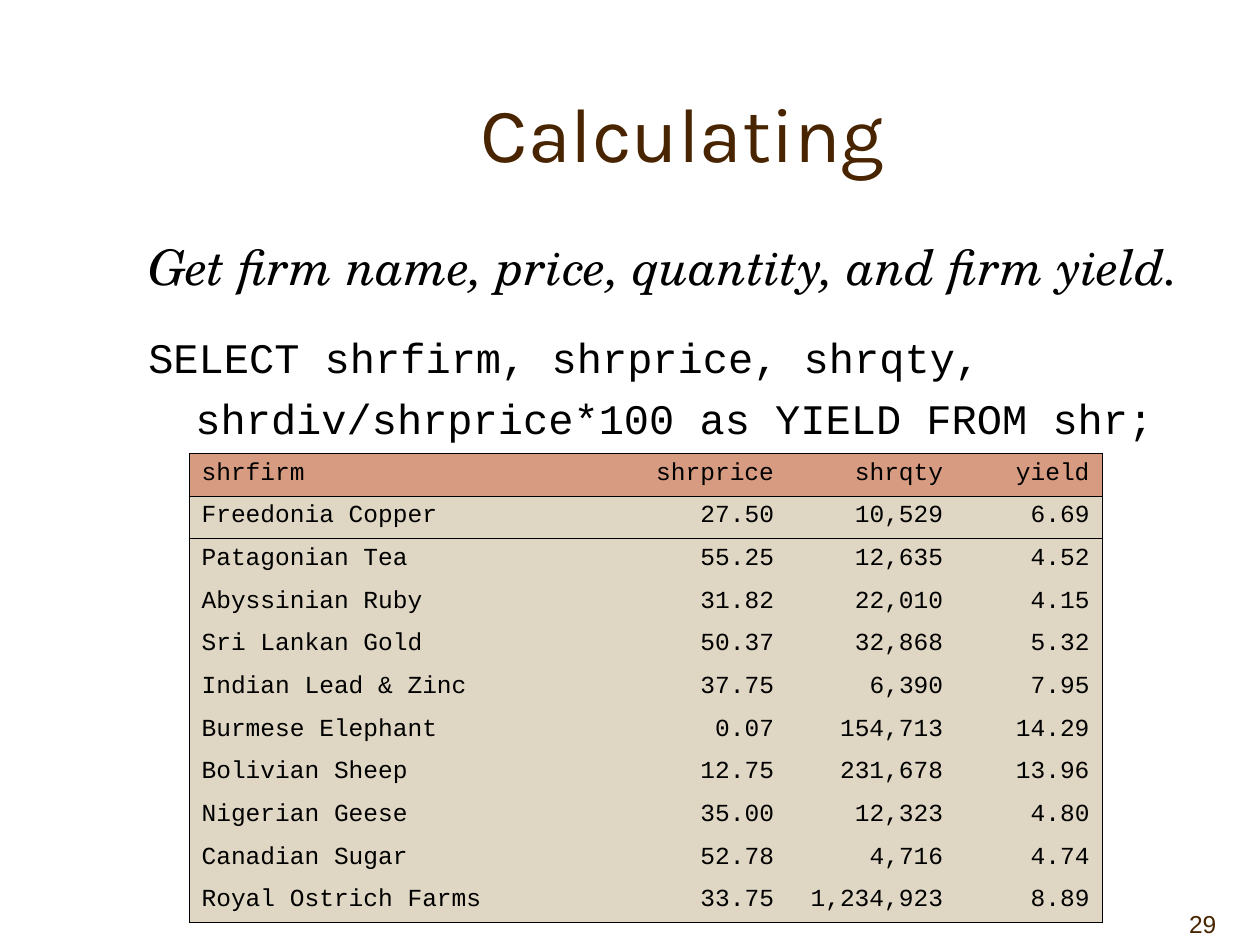
from dataclasses import dataclass

from lxml import etree
from pptx import Presentation
from pptx.dml.color import RGBColor
from pptx.enum.text import MSO_ANCHOR, PP_ALIGN
from pptx.oxml.ns import qn
from pptx.slide import Slide
from pptx.table import _Cell
from pptx.text.text import _Paragraph
from pptx.util import Cm, Pt

LEFT, CENTER, RIGHT = PP_ALIGN.LEFT, PP_ALIGN.CENTER, PP_ALIGN.RIGHT
TOP, MIDDLE, BOTTOM = MSO_ANCHOR.TOP, MSO_ANCHOR.MIDDLE, MSO_ANCHOR.BOTTOM
NO_GRID_STYLE = "{2D5ABB26-0587-4C30-8999-92F81FD0307C}"


@dataclass(frozen=True)
class TextStyle:
    font: str
    size: float
    color: str
    italic: bool = False


@dataclass(frozen=True)
class Theme:
    title: TextStyle = TextStyle("Karla", 44, "482400")
    question: TextStyle = TextStyle("TeX Gyre Schola", 28, "000000", True)
    query: TextStyle = TextStyle("Courier New", 24, "000000")
    cell: TextStyle = TextStyle("Courier New", 14, "000000")
    number: TextStyle = TextStyle("Arial", 14, "482400")
    header_fill: str = "D69B80"
    body_fill: str = "DFD6C3"
    border: str = "000000"
    border_width: float = 0.45


@dataclass(frozen=True)
class Line:
    text: str
    style: TextStyle
    align: PP_ALIGN = LEFT
    space_before: float = 0
    margin: float = 0
    indent: float = 0


@dataclass(frozen=True)
class TextBlock:
    left: float
    top: float
    width: float
    height: float
    anchor: MSO_ANCHOR
    lines: tuple[Line, ...]


THEME = Theme()
HANGING = 0.95

BLOCKS = (
    TextBlock(2.97, 1.07, 21.59, 3.18, MIDDLE, (Line("Calculating", THEME.title, CENTER),)),
    TextBlock(2.74, 4.65, 21.59, 11, TOP, (
        Line("Get firm name, price, quantity, and firm yield.", THEME.question,
             LEFT, 7, HANGING, -HANGING),
        Line("SELECT shrfirm, shrprice, shrqty,", THEME.query, LEFT, 20.5, HANGING, -HANGING),
        Line("shrdiv/shrprice*100 as YIELD FROM shr;", THEME.query, LEFT, 6, HANGING),
    )),
    TextBlock(21.59, 17.78, 3.18, 1.27, BOTTOM, (Line("29", THEME.number, RIGHT),)),
)

TABLE_LEFT, TABLE_TOP, ROW_HEIGHT = 3.81, 9.14, 0.86
COLUMN_WIDTHS = (8.87, 3.18, 3.41, 2.95)
SHARES = (
    ("shrfirm", "shrprice", "shrqty", "yield"),
    ("Freedonia Copper", "27.50", "10,529", "6.69"),
    ("Patagonian Tea", "55.25", "12,635", "4.52"),
    ("Abyssinian Ruby", "31.82", "22,010", "4.15"),
    ("Sri Lankan Gold", "50.37", "32,868", "5.32"),
    ("Indian Lead & Zinc", "37.75", "6,390", "7.95"),
    ("Burmese Elephant", "0.07", "154,713", "14.29"),
    ("Bolivian Sheep", "12.75", "231,678", "13.96"),
    ("Nigerian Geese", "35.00", "12,323", "4.80"),
    ("Canadian Sugar", "52.78", "4,716", "4.74"),
    ("Royal Ostrich Farms", "33.75", "1,234,923", "8.89"),
)


def write_line(paragraph: _Paragraph, line: Line) -> None:
    paragraph.alignment = line.align
    paragraph.space_before = Pt(line.space_before)
    properties = paragraph._p.get_or_add_pPr()
    properties.set("marL", str(Cm(line.margin)))
    properties.set("indent", str(Cm(line.indent)))
    run = paragraph.add_run()
    run.text = line.text
    run.font.name = line.style.font
    run.font.size = Pt(line.style.size)
    run.font.italic = line.style.italic
    run.font.color.rgb = RGBColor.from_string(line.style.color)


def add_text_block(slide: Slide, block: TextBlock) -> None:
    shape = slide.shapes.add_textbox(
        Cm(block.left), Cm(block.top), Cm(block.width), Cm(block.height))
    frame = shape.text_frame
    frame.word_wrap = True
    frame.vertical_anchor = block.anchor
    for index, line in enumerate(block.lines):
        write_line(frame.add_paragraph() if index else frame.paragraphs[0], line)


def set_borders(cell: _Cell, sides: str) -> None:
    properties = cell._tc.get_or_add_tcPr()
    for position, side in enumerate(sides):
        border = etree.Element(qn(f"a:ln{side}"), w=str(Pt(THEME.border_width)))
        fill = etree.SubElement(border, qn("a:solidFill"))
        etree.SubElement(fill, qn("a:srgbClr"), val=THEME.border)
        properties.insert(position, border)


def add_share_table(slide: Slide) -> None:
    last_row, last_column = len(SHARES) - 1, len(COLUMN_WIDTHS) - 1
    table = slide.shapes.add_table(
        len(SHARES), len(COLUMN_WIDTHS), Cm(TABLE_LEFT), Cm(TABLE_TOP),
        Cm(sum(COLUMN_WIDTHS)), Cm(ROW_HEIGHT * len(SHARES))).table
    table.first_row = table.horz_banding = False
    table._tbl.tblPr.find(qn("a:tableStyleId")).text = NO_GRID_STYLE
    for column, width in zip(table.columns, COLUMN_WIDTHS):
        column.width = Cm(width)
    for row_index, values in enumerate(SHARES):
        table.rows[row_index].height = Cm(ROW_HEIGHT)
        for column_index, value in enumerate(values):
            cell = table.cell(row_index, column_index)
            cell.fill.solid()
            cell.fill.fore_color.rgb = RGBColor.from_string(
                THEME.body_fill if row_index else THEME.header_fill)
            edges = {
                "L": column_index == 0,
                "R": column_index == last_column,
                "T": row_index in (0, 1),
                "B": row_index in (0, last_row),
            }
            set_borders(cell, "".join(side for side, drawn in edges.items() if drawn))
            align = RIGHT if column_index else LEFT
            write_line(cell.text_frame.paragraphs[0], Line(value, THEME.cell, align, 3.5))


def main() -> None:
    presentation = Presentation()
    presentation.slide_width, presentation.slide_height = Cm(25.4), Cm(19.05)
    slide = presentation.slides.add_slide(presentation.slide_layouts[6])
    title, body, number = BLOCKS
    add_text_block(slide, title)
    add_text_block(slide, body)
    add_share_table(slide)
    add_text_block(slide, number)
    presentation.save("out.pptx")


if __name__ == "__main__":
    main()
